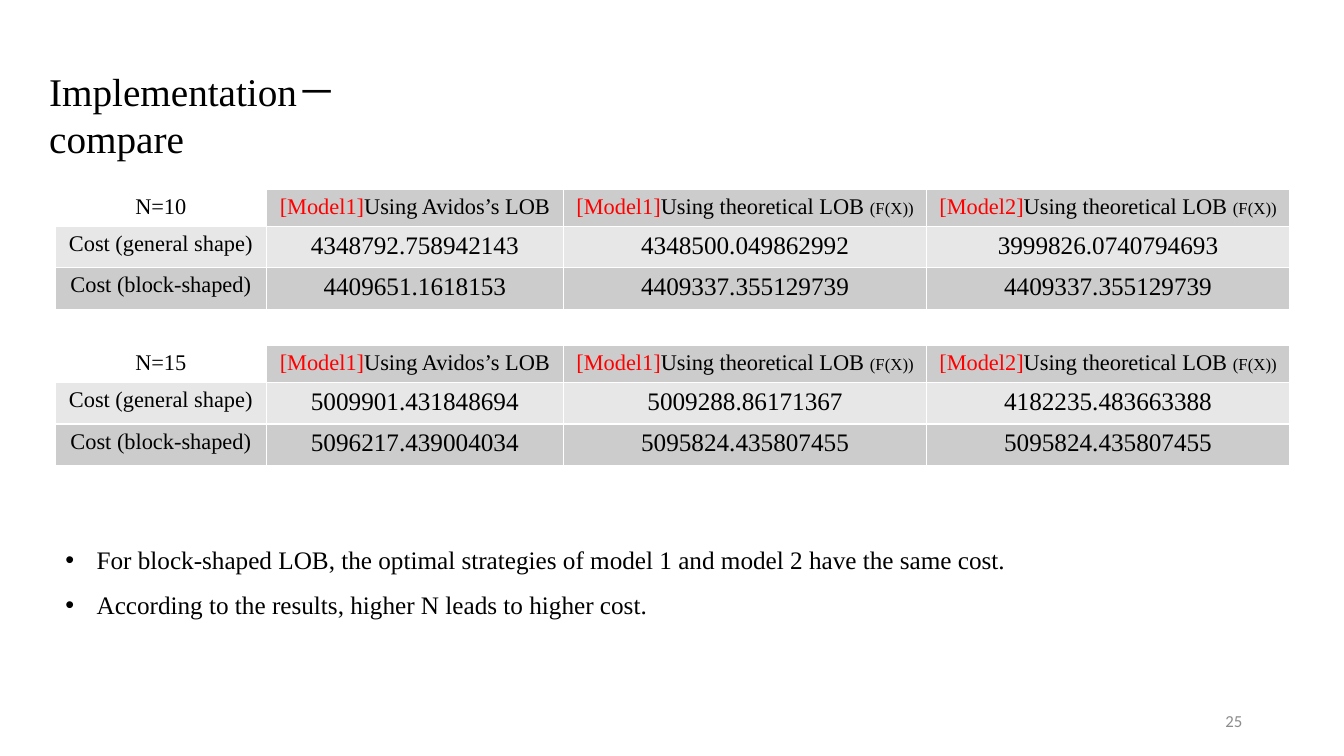
from dataclasses import dataclass
from pptx import Presentation
from pptx import util as u
from pptx.dml.color import RGBColor
from pptx.enum import text as t
from pptx.oxml import parse_xml
from pptx.oxml.ns import nsdecls


@dataclass(frozen=True)
class Theme:
    serif: str = "Times New Roman"
    sans: str = "Calibri"
    black: str = "000000"
    red: str = "FF0000"
    gray: str = "8C8C8C"
    white: str = "FFFFFF"
    dark: str = "CCCCCC"
    light: str = "E7E7E7"
    title: int = 28
    body: int = 18
    label: int = 16
    small: int = 12


def write(para, words, size, color, font, align=None):
    """Add a run of text to a paragraph."""
    run = para.add_run()
    run.text = words
    run.font.size = u.Pt(size)
    run.font.name = font
    run.font.color.rgb = RGBColor.from_string(color)
    if align is not None:
        para.alignment = align


class Page:
    def __init__(self, slide, theme):
        self.slide = slide
        self.theme = theme

    def box(self, left, top, width, height):
        shape = self.slide.shapes.add_textbox(
            *(u.Inches(n) for n in (left, top, width, height)))
        shape.text_frame.word_wrap = True
        return shape.text_frame

    def bullets(self, area, lines):
        th = self.theme
        frame = self.box(*area)
        for i, line in enumerate(lines):
            para = frame.add_paragraph() if i else frame.paragraphs[0]
            props = para._p.get_or_add_pPr()
            props.set("marL", str(u.Inches(0.31)))
            props.set("indent", str(u.Inches(-0.31)))
            props.append(parse_xml(f'<a:buFont {nsdecls("a")} typeface="Arial"/>'))
            props.append(parse_xml(f'<a:buChar {nsdecls("a")} char="•"/>'))
            para.line_spacing = 1.5
            write(para, line, th.body, th.black, th.serif)

    def cell(self, cell, runs, fill):
        th = self.theme
        cell.fill.solid()
        cell.fill.fore_color.rgb = RGBColor.from_string(fill)
        for words, size, color in runs:
            write(cell.text_frame.paragraphs[0], words, size, color,
                  th.serif, align=t.PP_ALIGN.CENTER)
        props = cell._tc.get_or_add_tcPr()
        for i, side in enumerate("LRTB"):
            props.insert(i, parse_xml(
                f'<a:ln{side} {nsdecls("a")} w="12700"><a:solidFill>'
                f'<a:srgbClr val="{th.white}"/></a:solidFill></a:ln{side}>'))

    def table(self, top, name, costs):
        th = self.theme
        widths, heights = (2.09, 2.95, 3.6, 3.6), (0.36, 0.41, 0.41)
        grid = self.slide.shapes.add_table(
            3, 4, u.Inches(0.55), u.Inches(top),
            u.Inches(sum(widths)), u.Inches(sum(heights))).table
        for col, width in zip(grid.columns, widths):
            col.width = u.Inches(width)
        for row, height in zip(grid.rows, heights):
            row.height = u.Inches(height)
        # Header row
        self.cell(grid.cell(0, 0), [(name, th.label, th.black)], th.white)
        for c, (model, use, note) in enumerate(HEADS, 1):
            runs = [(model, th.label, th.red), (use, th.label, th.black)]
            if note:
                runs.append((note, th.small, th.black))
            self.cell(grid.cell(0, c), runs, th.dark)
        # Cost rows
        fills = (th.light, th.dark)
        for r, (label, row, fill) in enumerate(zip(LABELS, costs, fills), 1):
            self.cell(grid.cell(r, 0), [(label, th.label, th.black)], fill)
            for c, cost in enumerate(row, 1):
                self.cell(grid.cell(r, c), [(cost, th.body, th.black)], fill)


HEADS = (
    ("[Model1]", "Using Avidos’s LOB", ""),
    ("[Model1]", "Using theoretical LOB ", "(F(X))"),
    ("[Model2]", "Using theoretical LOB ", "(F(X))"),
)
LABELS = ("Cost (general shape)", "Cost (block-shaped)")
TABLES = (
    (1.88, "N=10", (
        ("4348792.758942143", "4348500.049862992", "3999826.0740794693"),
        ("4409651.1618153", "4409337.355129739", "4409337.355129739"))),
    (3.43, "N=15", (
        ("5009901.431848694", "5009288.86171367", "4182235.483663388"),
        ("5096217.439004034", "5095824.435807455", "5095824.435807455"))),
)
NOTES = (
    "For block-shaped LOB, the optimal strategies of model 1 and model 2 "
    "have the same cost.",
    "According to the results, higher N leads to higher cost.",
)


def main():
    deck = Presentation()
    deck.slide_width, deck.slide_height = u.Inches(13.33), u.Inches(7.5)
    th = Theme()
    page = Page(deck.slides.add_slide(deck.slide_layouts[6]), th)

    # Title, wrapped after the dash
    frame = page.box(0.39, 0.62, 4.43, 0.57)
    frame.margin_right = u.Inches(1)
    write(frame.paragraphs[0], "Implementation－compare", th.title, th.black, th.serif)

    # Cost tables
    for top, name, costs in TABLES:
        page.table(top, name, costs)

    # Findings
    page.bullets((0.55, 5.2, 10.46, 0.96), NOTES)

    # Page number
    frame = page.box(9.42, 6.95, 3, 0.4)
    frame.vertical_anchor = t.MSO_ANCHOR.MIDDLE
    write(frame.paragraphs[0], "25", th.small, th.gray, th.sans,
          align=t.PP_ALIGN.RIGHT)

    deck.save("out.pptx")


if __name__ == "__main__":
    main()
